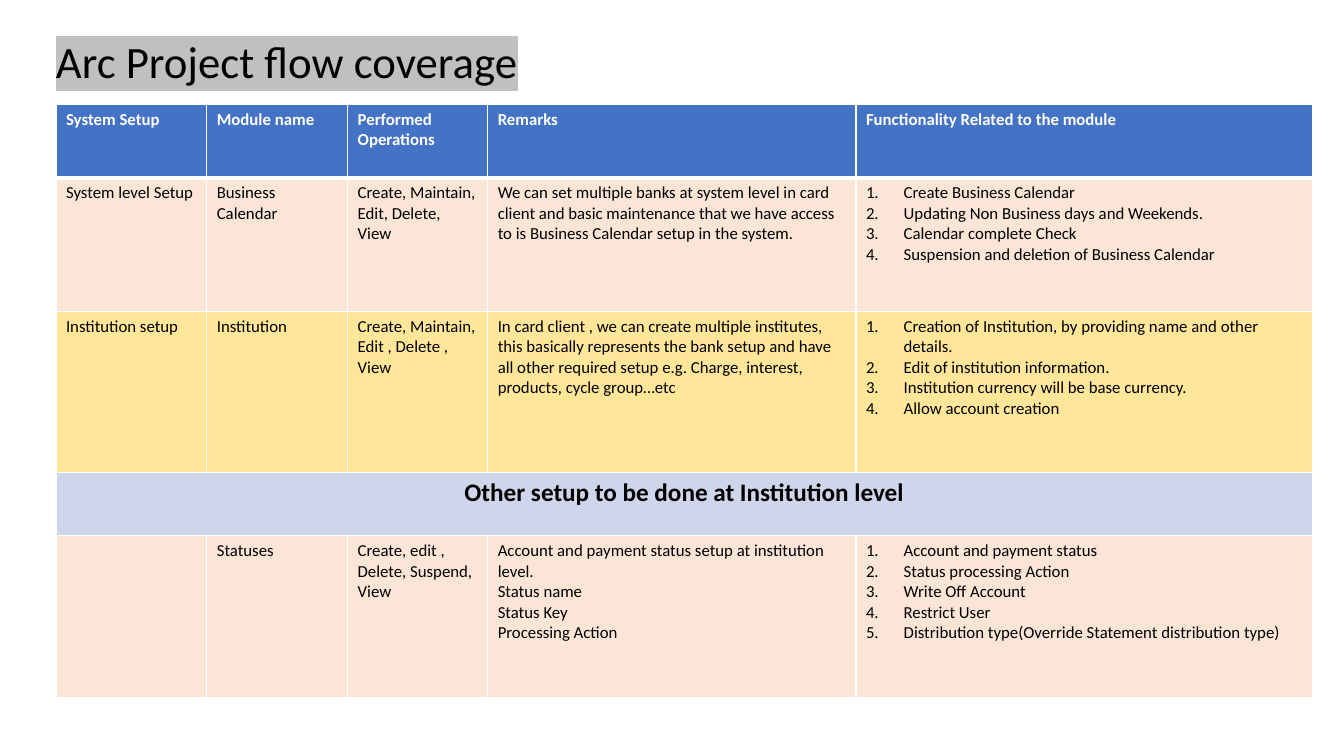
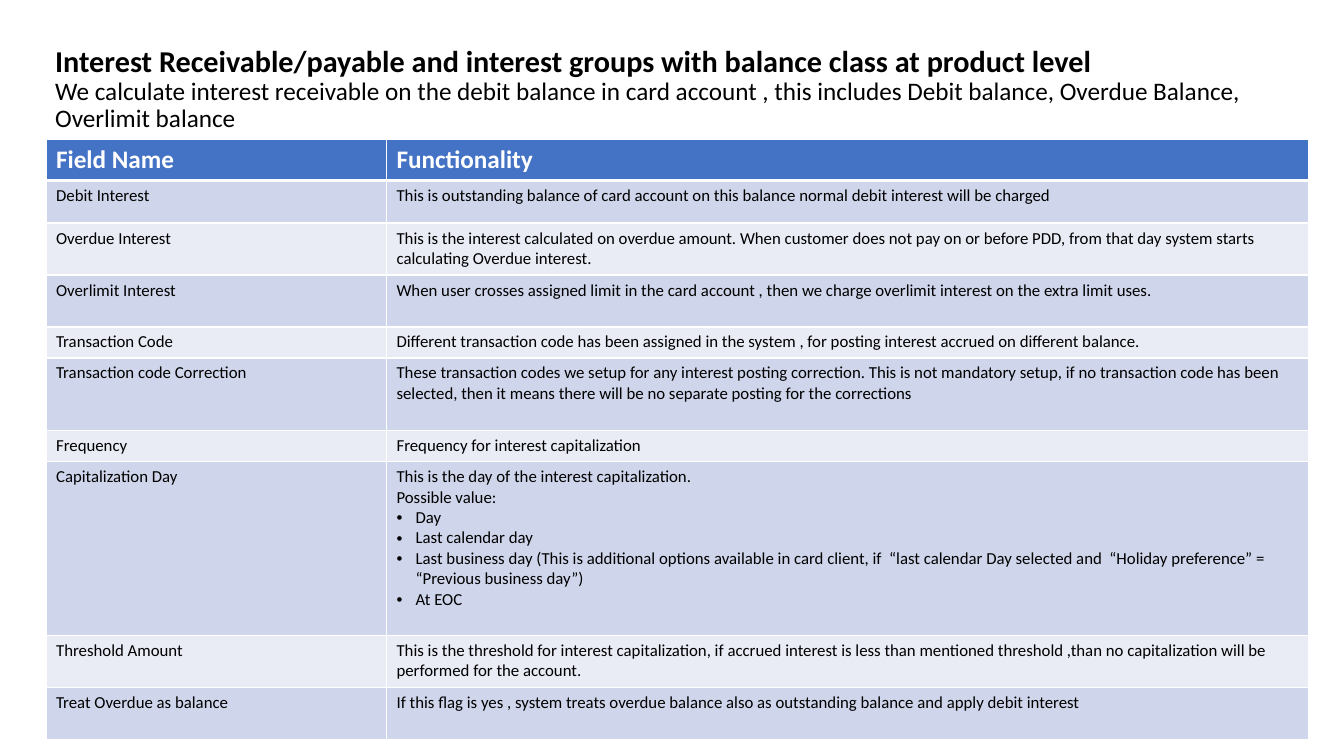
import lxml.etree
import pptx
import pptx.dml.color
import pptx.enum.text
import pptx.oxml.ns
import pptx.util

Cm = pptx.util.Cm
Pt = pptx.util.Pt
qn = pptx.oxml.ns.qn
PP_ALIGN = pptx.enum.text.PP_ALIGN

FONT = "Calibri"
COLORS = {
    "text": "000000",
    "white": "FFFFFF",
    "highlight": "C0C0C0",
    "header": "4472C4",
    "peach": "FBE5D6",
    "yellow": "FFE699",
    "band_dark": "CFD5EA",
    "band_light": "E9EBF5",
}
LISTS = {
    "#": (0.95, "buAutoNum", {"type": "arabicPeriod"}),
    "•": (0.48, "buChar", {"char": "•"}),
}

COVERAGE_HEADER = ["System Setup", "Module name", "Performed Operations", "Remarks",
                   "Functionality Related to the module"]
COVERAGE_ROWS = [
    ("peach", 3.36, [
        "System level Setup", "Business Calendar", "Create, Maintain, Edit, Delete, View",
        "We can set multiple banks at system level in card client and basic maintenance "
        "that we have access to is Business Calendar setup in the system.",
        "#Create Business Calendar\n"
        "#Updating Non Business days and Weekends.\n"
        "#Calendar complete Check\n"
        "#Suspension and deletion of Business Calendar"]),
    ("yellow", 4.07, [
        "Institution setup", "Institution", "Create, Maintain, Edit , Delete , View",
        "In card client , we can create multiple institutes, this basically represents the "
        "bank setup and have all other required setup e.g. Charge, interest, products, "
        "cycle group…etc",
        "#Creation of Institution, by providing name and other details.\n"
        "#Edit of institution information.\n"
        "#Institution currency will be base currency.\n"
        "#Allow account creation"]),
    ("band_dark", 1.59, ["Other setup to be done at Institution level"]),
    ("peach", 4.07, [
        "", "Statuses", "Create, edit , Delete, Suspend, View",
        "Account and payment status setup at institution level.\n"
        "Status name\nStatus Key\nProcessing Action",
        "#Account and payment status\n"
        "#Status processing Action\n"
        "#Write Off Account\n"
        "#Restrict User\n"
        "#Distribution type(Override Statement distribution type)"]),
]

INTEREST_FIELDS = [
    (1.07, "Debit Interest",
     "This is outstanding balance of card account on this balance normal debit interest "
     "will be charged"),
    (1.31, "Overdue Interest",
     "This is the interest calculated on overdue amount. When customer does not pay on or "
     "before PDD, from that day system starts calculating Overdue interest."),
    (1.31, "Overlimit Interest",
     "When user crosses assigned limit in the card account , then we charge overlimit "
     "interest on the extra limit uses."),
    (0.78, "Transaction Code",
     "Different transaction code has been assigned in the system , for posting interest "
     "accrued on different balance."),
    (1.83, "Transaction code Correction",
     "These transaction codes we setup for any interest posting correction. This is not "
     "mandatory setup, if no transaction code has been selected, then it means there will "
     "be no separate posting for the corrections"),
    (0.78, "Frequency", "Frequency for interest capitalization"),
    (4.38, "Capitalization Day",
     "This is the day of the interest capitalization.\n"
     "Possible value:\n"
     "•Day\n"
     "•Last calendar day\n"
     "•Last business day (This is additional options available in card client, if  “last "
     "calendar Day selected and  “Holiday preference” = “Previous business day”)\n"
     "•At EOC"),
    (1.31, "Threshold Amount",
     "This is the threshold for interest capitalization, if accrued interest is less than "
     "mentioned threshold ,than no capitalization will be performed for the account."),
    (1.31, "Treat Overdue as balance",
     "If this flag is yes , system treats overdue balance also as outstanding balance and "
     "apply debit interest"),
]


def rgb(name):
    return pptx.dml.color.RGBColor.from_string(COLORS[name])


def style_run(r, size, color="text", bold=False):
    r.font.size = Pt(size)
    r.font.name = FONT
    r.font.bold = bold
    r.font.color.rgb = rgb(color)


def highlight_run(r, color):
    highlight = lxml.etree.Element(qn("a:highlight"))
    lxml.etree.SubElement(highlight, qn("a:srgbClr"), val=COLORS[color])
    r.font._element.find(qn("a:solidFill")).addnext(highlight)


def set_list(p, marker):
    indent, tag, attrs = LISTS[marker]
    pPr = p._p.get_or_add_pPr()
    pPr.set("marL", str(Cm(indent)))
    pPr.set("indent", str(-Cm(indent)))
    lxml.etree.SubElement(pPr, qn("a:buFont"), typeface="Arial" if marker == "•" else "+mj-lt")
    lxml.etree.SubElement(pPr, qn("a:" + tag), attrs)


def set_borders(cell, top, bottom):
    tcPr = cell._tc.get_or_add_tcPr()
    for i, (side, width) in enumerate((("L", 1), ("R", 1), ("T", top), ("B", bottom))):
        ln = lxml.etree.Element(qn("a:ln" + side), w=str(Pt(width)))
        fill = lxml.etree.SubElement(ln, qn("a:solidFill"))
        lxml.etree.SubElement(fill, qn("a:srgbClr"), val=COLORS["white"])
        tcPr.insert(i, ln)


def fill_cell(cell, text, fill, size=12, color="text", bold=False, align=None):
    cell.fill.solid()
    cell.fill.fore_color.rgb = rgb(fill)
    cell.text_frame.text = "\n".join(line.lstrip("#•") for line in text.split("\n"))
    for p, line in zip(cell.text_frame.paragraphs, text.split("\n")):
        p.alignment = align
        if line[:1] in LISTS:
            set_list(p, line[0])
        for r in p.runs:
            style_run(r, size, color, bold)


def add_title(s, box, text):
    sp = s.shapes.add_textbox(*map(Cm, box))
    tf = sp.text_frame
    tf.word_wrap = True
    tf.vertical_anchor = pptx.enum.text.MSO_ANCHOR.MIDDLE
    p = tf.paragraphs[0]
    p.text = text
    p.line_spacing = 0.9
    return p.runs


def add_grid(s, left, top, widths, header, header_height, header_size, rows):
    heights = [header_height] + [height for _, height, _ in rows]
    table = s.shapes.add_table(len(heights), len(widths), Cm(left), Cm(top),
                               Cm(sum(widths)), Cm(sum(heights))).table
    for column, width in zip(table.columns, widths):
        column.width = Cm(width)
    for row, height in zip(table.rows, heights):
        row.height = Cm(height)
    for j, text in enumerate(header):
        fill_cell(table.cell(0, j), text, "header", header_size, "white", True)
    for i, (fill, _, texts) in enumerate(rows, 1):
        if len(texts) == 1:
            table.cell(i, 0).merge(table.cell(i, len(widths) - 1))
            fill_cell(table.cell(i, 0), texts[0], fill, 18, bold=True, align=PP_ALIGN.CENTER)
            continue
        for j, text in enumerate(texts):
            fill_cell(table.cell(i, j), text, fill)
    for i, row in enumerate(table.rows):
        for cell in row.cells:
            set_borders(cell, 3 if i == 1 else 1, 3 if i == 0 else 1)


def build_coverage(s):
    r = add_title(s, (1.16, 1.02, 30.38, 1.19), "Arc Project flow coverage")[0]
    style_run(r, 32)
    highlight_run(r, "highlight")
    add_grid(s, 1.41, 2.63, [3.8, 3.55, 3.53, 9.28, 11.51],
             COVERAGE_HEADER, 1.85, 12, COVERAGE_ROWS)


def build_interest(s):
    heading, detail = add_title(
        s, (1.14, 1.02, 30.4, 2.49),
        "Interest Receivable/payable and interest groups with balance class at product level \v"
        "We calculate interest receivable on the debit balance in card account , this includes "
        "Debit balance, Overdue Balance, Overlimit balance")
    style_run(heading, 21.6, bold=True)
    style_run(detail, 18)
    bands = ("band_dark", "band_light")
    rows = [(bands[i % 2], height, texts)
            for i, (height, *texts) in enumerate(INTEREST_FIELDS)]
    add_grid(s, 1.16, 3.51, [8.58, 23.23], ["Field Name", "Functionality"], 1.04, 18, rows)


def main():
    prs = pptx.Presentation()
    prs.slide_width = Cm(33.87)
    prs.slide_height = Cm(19.05)
    for build in (build_coverage, build_interest):
        build(prs.slides.add_slide(prs.slide_layouts[6]))
    prs.save("out.pptx")


if __name__ == "__main__":
    main()
